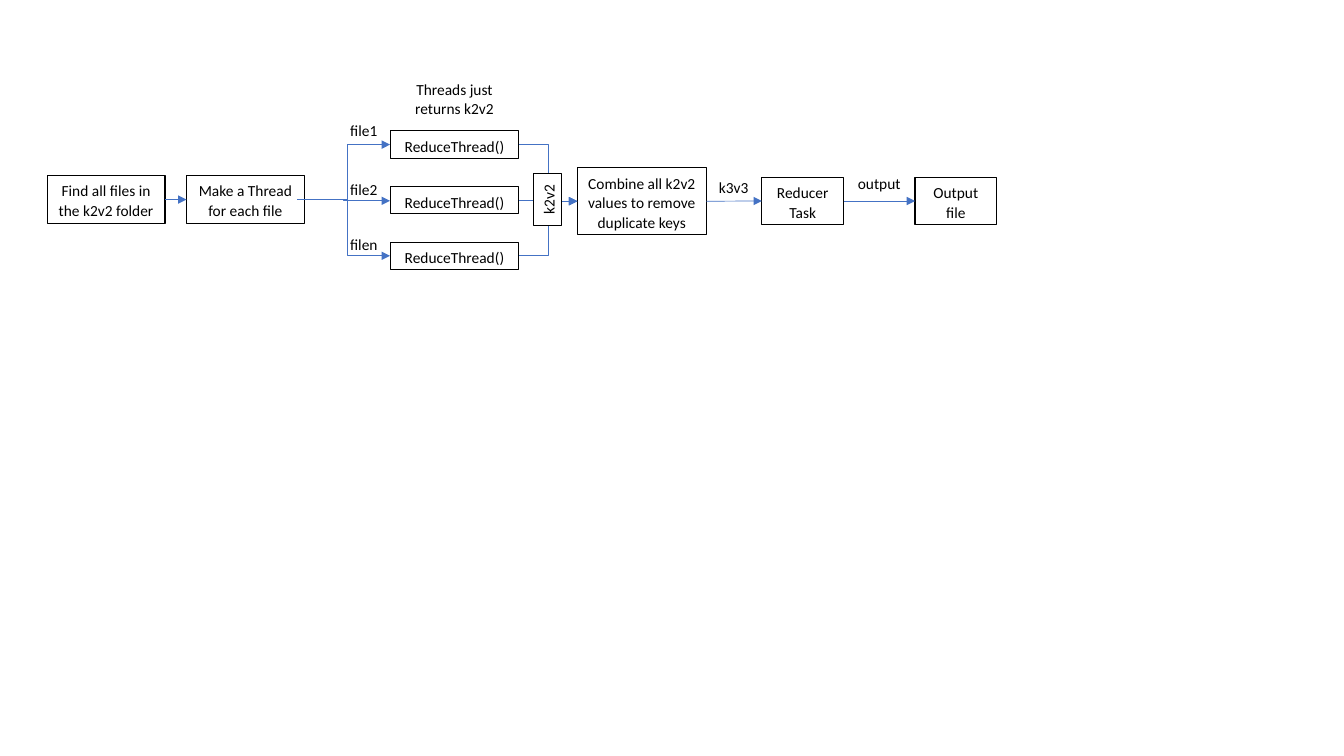
"""Draws the flow of reduce threads from the k2v2 folder to the output file."""
from dataclasses import dataclass

from lxml import etree
from pptx import Presentation, oxml, slide as s, util as u
from pptx.dml import color
from pptx.enum import shapes, text
from pptx.oxml import ns
from pptx.shapes import autoshape, base, connector

COLORS = {"ink": "000000", "paper": "FFFFFF", "arrow": "4472C4"}
THREAD_LEFT, THREAD_WIDTH, ROW_HEIGHT = 9.83, 3.25, 0.69
THREAD_TOPS = [3.3 + 1.4 * row for row in range(3)]
COMBINE_LEFT, COMBINE_MIDDLE = 14.55, 5.07
MAKE_MIDDLE = 5.03


@dataclass
class Block:
    """A piece of text with its frame in centimetres."""
    words: str
    left: float
    top: float
    width: float
    height: float
    rotation: float = 0


@dataclass
class Elbow:
    """A bent arrow between two points in centimetres."""
    x1: float
    y1: float
    x2: float
    y2: float


STEPS = {
    "find": Block("Find all files in the k2v2 folder", 1.19, 4.42, 2.97, 1.22),
    "make": Block("Make a Thread for each file", 4.7, 4.42, 2.97, 1.22),
    "combine": Block("Combine all k2v2 values to remove duplicate keys",
                     COMBINE_LEFT, 4.22, 3.25, 1.7),
    "reduce": Block("Reducer Task", 19.2, 4.47, 2.06, 1.19),
    "output": Block("Output file", 23.06, 4.47, 2.06, 1.19),
}
LINKS = [("find", "make"), ("combine", "reduce"), ("reduce", "output")]
THREADS = [Block("ReduceThread()", THREAD_LEFT, top, THREAD_WIDTH, ROW_HEIGHT)
           for top in THREAD_TOPS]
MERGE = Block("k2v2", 13.13, 4.67, 1.32, 0.71, 270)
LABELS = [
    Block("Threads just returns k2v2", THREAD_LEFT, 1.85, THREAD_WIDTH, 1.09),
    Block("file1", 8.51, 2.9, 1.32, ROW_HEIGHT),
    Block("file2", 8.51, 4.37, 1.32, ROW_HEIGHT),
    Block("filen", 8.51, 5.77, 1.32, ROW_HEIGHT),
    Block("k3v3", 17.83, 4.32, 1.32, ROW_HEIGHT),
    Block("output", 21.26, 4.22, 1.8, ROW_HEIGHT),
]
ROWS = [top + ROW_HEIGHT / 2 for top in THREAD_TOPS]
ELBOWS = [
    Elbow(7.67, MAKE_MIDDLE, THREAD_LEFT, ROWS[0]),
    Elbow(7.67, MAKE_MIDDLE, THREAD_LEFT, ROWS[2]),
    Elbow(7.49, MAKE_MIDDLE, THREAD_LEFT, 5.06),
] + [Elbow(THREAD_LEFT + THREAD_WIDTH, row, COMBINE_LEFT, COMBINE_MIDDLE) for row in ROWS]


def paint(name: str) -> color.RGBColor:
    """Look up a named colour."""
    return color.RGBColor.from_string(COLORS[name])


def frame(block: Block) -> list[u.Cm]:
    """Give the block's position and size as lengths."""
    return [u.Cm(value) for value in (block.left, block.top, block.width, block.height)]


def write(shape: base.BaseShape, words: str) -> None:
    """Put centred text at the top of a shape."""
    box = shape.text_frame
    box.word_wrap = True
    box.vertical_anchor = text.MSO_ANCHOR.TOP
    para = box.paragraphs[0]
    para.text = words
    para.alignment = text.PP_ALIGN.CENTER
    para.line_spacing = 1.07
    para.space_after = u.Pt(8)
    para.font.name = "Calibri"
    para.font.size = u.Pt(11)
    para.font.color.rgb = paint("ink")


def draw_box(page: s.Slide, block: Block) -> autoshape.Shape:
    """Draw an outlined box."""
    shape = page.shapes.add_shape(shapes.MSO_SHAPE.RECTANGLE, *frame(block))
    shape.shadow.inherit = False
    shape.fill.solid()
    shape.fill.fore_color.rgb = paint("paper")
    shape.line.color.rgb = paint("ink")
    shape.line.width = u.Pt(0.75)
    shape.rotation = block.rotation
    write(shape, block.words)
    return shape


def draw_arrow(page: s.Slide, kind: shapes.MSO_CONNECTOR, ends: Elbow) -> connector.Connector:
    """Draw a thin connector with an arrowhead at its end."""
    points = [u.Cm(value) for value in (ends.x1, ends.y1, ends.x2, ends.y2)]
    arrow = page.shapes.add_connector(kind, *points)
    arrow.line.color.rgb = paint("arrow")
    arrow.line.width = u.Pt(0.5)
    outline = arrow.line._get_or_add_ln()
    etree.SubElement(outline, ns.qn("a:tailEnd"), type="triangle")
    arrow._element.spPr.append(oxml.parse_xml(f"<a:effectLst {ns.nsdecls('a')}/>"))
    return arrow


def main() -> None:
    """Build and save the deck."""
    deck = Presentation()
    deck.slide_width, deck.slide_height = u.Cm(33.87), u.Cm(19.05)
    page = deck.slides.add_slide(deck.slide_layouts[6])
    steps = {name: draw_box(page, block) for name, block in STEPS.items()}
    for thread in THREADS:
        draw_box(page, thread)
    for elbow in ELBOWS:
        draw_arrow(page, shapes.MSO_CONNECTOR.ELBOW, elbow)
    draw_box(page, MERGE)
    for start, end in LINKS:
        arrow = draw_arrow(page, shapes.MSO_CONNECTOR.STRAIGHT, Elbow(0, 0, 1, 1))
        arrow.begin_connect(steps[start], 3)
        arrow.end_connect(steps[end], 1)
    for label in LABELS:
        write(page.shapes.add_textbox(*frame(label)), label.words)
    deck.save("out.pptx")


if __name__ == "__main__":
    main()
